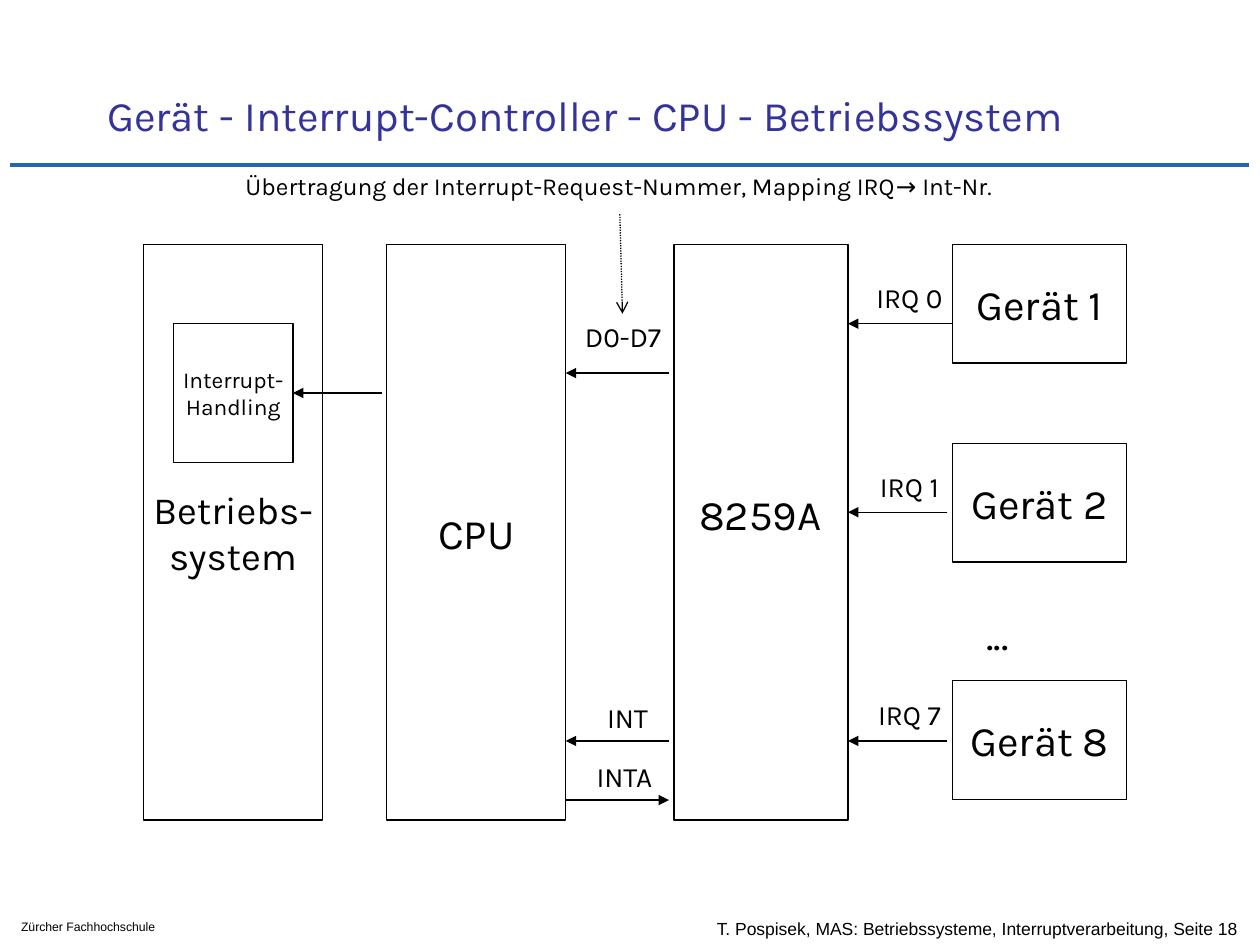
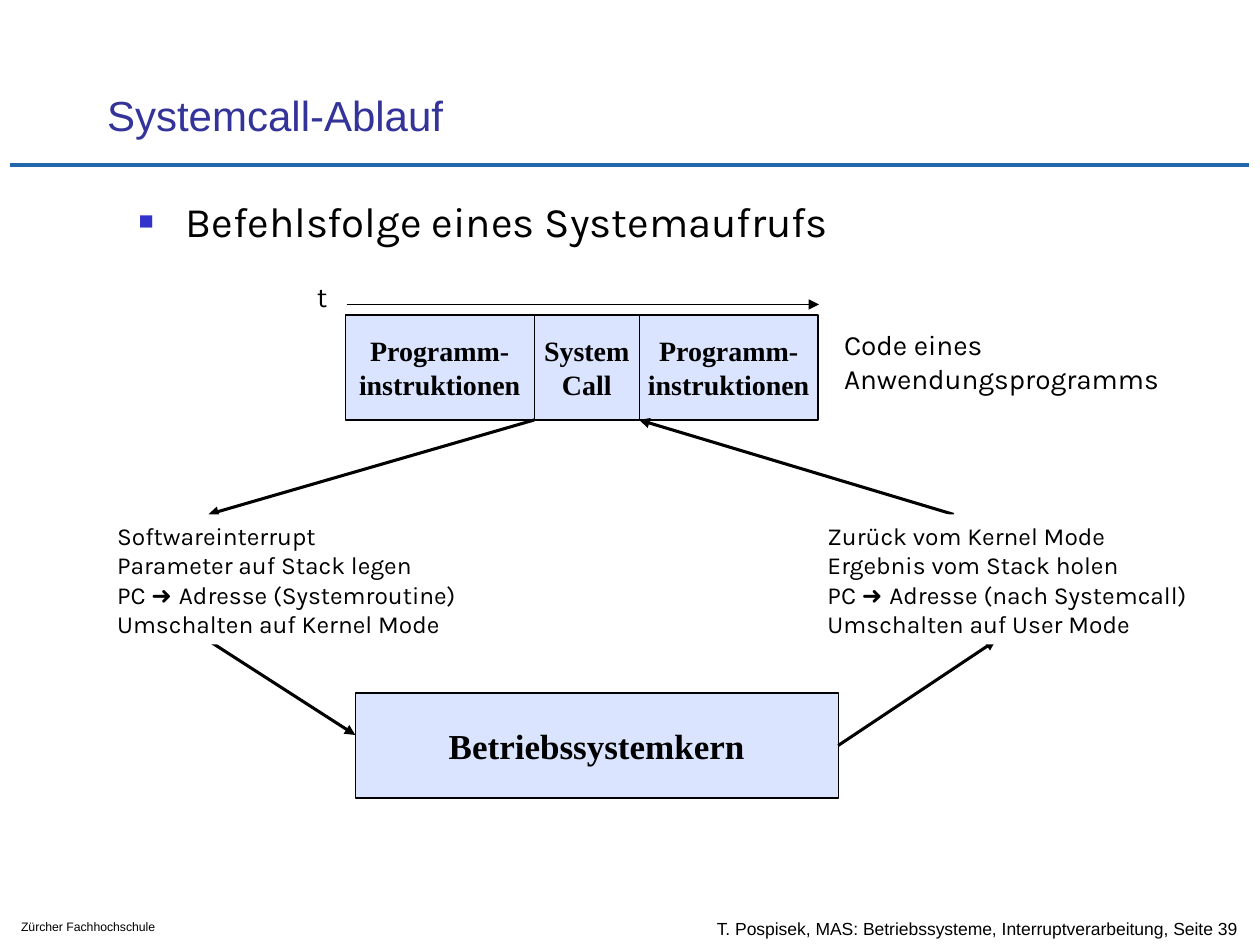
from lxml import etree
from pptx import Presentation
from pptx.dml.color import RGBColor as RGB
from pptx.enum.dml import MSO_LINE as DASH
from pptx.enum.shapes import MSO_CONNECTOR as CONN, MSO_SHAPE as SHAPE
from pptx.enum.text import MSO_ANCHOR as ANCHOR, MSO_AUTO_SIZE as AUTO, PP_ALIGN as ALIGN
from pptx.oxml.ns import qn
from pptx.util import Pt

# Theme: colours, and type styles as (size, font, colour, bold)
COLORS = {"black": "000000", "white": "FFFFFF", "title": "333399", "rule": "2266AB",
          "bullet": "3333CC", "block": "DAE4FF"}
STYLES = {
    "title": (24, "Karla", "title", False),
    "title_arial": (24, "Arial", "title", False),
    "body": (24, "Karla", "black", False),
    "system": (22, "Karla", "black", False),
    "label": (16, "Karla", "black", False),
    "note": (14, "Karla", "black", False),
    "small": (13, "Karla", "black", False),
    "block": (16, "Times New Roman", "black", True),
    "kernel": (20, "Times New Roman", "black", True),
    "page": (10, "Arial", "black", False),
    "school": (7, "Arial", "black", False),
}
THEME = {"colors": {k: RGB.from_string(v) for k, v in COLORS.items()}, "styles": STYLES}
C = THEME["colors"]


def put(sp, at, paras, style, align=ALIGN.CENTER, anchor=ANCHOR.MIDDLE, wrap=False,
        fill=None, line=None):
    """Place a shape and write its paragraphs; a paragraph may list (text, font) runs."""
    for name, value in zip(("left", "top", "width", "height"), at):
        setattr(sp, name, Pt(value))
    if fill:
        sp.fill.solid()
        sp.fill.fore_color.rgb = C[fill]
    if line:
        sp.shadow.inherit = False
        sp.line.color.rgb = C[line]
        sp.line.width = Pt(0.75)
    tf = sp.text_frame
    frame = {"word_wrap": wrap, "auto_size": AUTO.NONE, "vertical_anchor": anchor,
             "margin_left": Pt(7.2), "margin_right": Pt(7.2),
             "margin_top": Pt(3.6), "margin_bottom": Pt(3.6)}
    for name, value in frame.items():
        setattr(tf, name, value)
    size, font, color, bold = THEME["styles"][style]
    for i, para in enumerate(paras):
        p = tf.paragraphs[0] if i == 0 else tf.add_paragraph()
        p.alignment, p.space_before = align, Pt(0)
        for text, face in [(para, font)] if isinstance(para, str) else para:
            r = p.add_run()
            r.text = text
            for name, value in {"size": Pt(size), "name": face, "bold": bold}.items():
                setattr(r.font, name, value)
            r.font.color.rgb = C[color]
    return sp


def connect(s, x1, y1, x2, y2, width=0.75, color="black", head="triangle", dash=None):
    """Draw a line, with an arrowhead at its end unless head is None."""
    cx = s.shapes.add_connector(CONN.STRAIGHT, Pt(x1), Pt(y1), Pt(x2), Pt(y2))
    cx.line.color.rgb = C[color]
    cx.line.width = Pt(width)
    if dash:
        cx.line.dash_style = dash
    if head:
        etree.SubElement(cx.line._ln, qn("a:tailEnd"), type=head)
    etree.SubElement(cx._element.spPr, qn("a:effectLst"))


prs = Presentation()
prs.slide_width, prs.slide_height = Pt(720), Pt(540)

# Shared parts: rule, footers, title
slides = []
for layout, title, style, page in (
        (5, "Gerät - Interrupt-Controller - CPU - Betriebssystem", "title", 18),
        (1, "Systemcall-Ablauf", "title_arial", 39)):
    s = prs.slides.add_slide(prs.slide_layouts[layout])
    connect(s, 6, 94.3, 714, 94.3, 2.5, "rule", None)
    put(s.shapes.add_textbox(0, 0, 0, 0), (402.5, 518.4, 317.5, 24),
        [f"T. Pospisek, MAS: Betriebssysteme, Interruptverarbeitung, Seite {page}"],
        "page", ALIGN.LEFT, wrap=True)
    put(s.shapes.add_textbox(0, 0, 0, 0), (5, 522, 124, 16), ["Zürcher Fachhochschule"],
        "school", ALIGN.LEFT, ANCHOR.TOP, True)
    put(s.shapes.title, (54, 24, 613.5, 59.5), [title], style, ALIGN.LEFT,
        ANCHOR.BOTTOM, True)
    slides.append(s)
s1, s2 = slides

# Slide 1: operating system, CPU and interrupt controller
TOP, TALL = 139.7, 329
units = [((82, TOP, 102.3, TALL), ["Betriebs-", "system"], "system"),
         ((221, TOP, 102.3, TALL), ["CPU"], "body"),
         ((385.2, TOP, 99.4, TALL), [], "body"),
         ((99, 185, 68.4, 79.2), ["Interrupt-", "Handling"], "small")]
# Devices
units += [((544.3, y, 99.4, 67.8), [f"Gerät {n}"], "body")
          for n, y in ((1, TOP), (2, 253.4), (8, 389))]
for at, paras, style in units:
    put(s1.shapes.add_shape(SHAPE.RECTANGLE, 0, 0, 0, 0), at, paras, style,
        fill="white", line="black")

# Request lines, data bus and handshake
labels = [((392.4, 275.8, 84.2, 36), ["8259A"], "body"),
          ((553, 344.2, 33.8, 36), ["..."], "body")]
for n, y, x in ((0, 185, 544.3), (1, 292.7, 541.4), (7, 423.4, 541.4)):
    connect(s1, x, y, 484.6, y)
    labels.append(((492, y - 28.2, 55.4, 26.6), [f"IRQ {n}"], "label"))
for name, x, y, gap, ends in (("D0-D7", 356, 213.2, 34, (382.3, 323.3)),
                              ("INT", 358.6, 423.4, 26.6, (382.3, 323.3)),
                              ("INTA", 356.8, 457.2, 26.6, (323.3, 382.3))):
    connect(s1, ends[0], y, ends[1], y)
    labels.append(((x - 30, y - gap, 60, 26.6), [name], "label"))
connect(s1, 218.2, 224.6, 167.4, 224.6)

# Mapping remark
labels.append(((123, 94.3, 461, 24),
               [[("Übertragung der Interrupt-Request-Nummer, Mapping IRQ", "Karla"),
                 ("→", "DejaVu Sans"), (" Int-Nr.", "Karla")]], "note"))
connect(s1, 354.2, 122.4, 355.7, 179.3, head="arrow", dash=DASH.ROUND_DOT)
for at, paras, style in labels:
    put(s1.shapes.add_textbox(0, 0, 0, 0), at, paras, style, anchor=ANCHOR.TOP)

# Slide 2: bullet
body = s2.placeholders[1]
put(body, (72, 108, 612, 54), ["Befehlsfolge eines Systemaufrufs"], "body",
    ALIGN.LEFT, ANCHOR.TOP, True)
pPr = body.text_frame.paragraphs[0]._p.get_or_add_pPr()
pPr.set("marL", str(Pt(27)))
pPr.set("indent", str(Pt(-27)))
bu_color = etree.SubElement(pPr, qn("a:buClr"))
etree.SubElement(bu_color, qn("a:srgbClr"), val=COLORS["bullet"])
etree.SubElement(pPr, qn("a:buSzPct"), val="60000")
etree.SubElement(pPr, qn("a:buFont"), typeface="Arial")
etree.SubElement(pPr, qn("a:buChar"), char="■")

# Program blocks in a row, and the kernel
program = ["Programm-", "instruktionen"]
blocks = [((203, 396, 276, 60), ["Betriebssystemkern"], "kernel")]
x = 197.3
for width, paras in ((108, program), (60, ["System", "Call"]), (102.2, program)):
    blocks.append(((x, 180, width, 60), paras, "block"))
    x += width
for at, paras, style in blocks:
    put(s2.shapes.add_shape(SHAPE.RECTANGLE, 0, 0, 0, 0), at, paras, style,
        fill="block", line="black")

# Time axis and control flow
connect(s2, 198, 174, 468, 174)
for ends in ((305.3, 240, 119, 294), (119, 366, 203, 420),
             (479, 426, 569, 366), (545, 294, 365.3, 240)):
    connect(s2, *ends, width=1.75)

# Notes
notes = [((174, 156, 20, 26.6), ["t"], "label"),
         ((475.2, 183.6, 201, 45.4), ["Code eines", "Anwendungsprogramms"], "label")]
for x, width, first, second, target, mode in (
        (59.8, 211, "Softwareinterrupt", "Parameter auf Stack legen", "Systemroutine", "Kernel"),
        (465.8, 220.3, "Zurück vom Kernel Mode", "Ergebnis vom Stack holen",
         "nach Systemcall", "User")):
    jump = [("PC ", "Karla"), ("➜ ", "Arial"), (f"Adresse ({target})", "Karla")]
    notes.append(((x, 294, width, 74.2),
                  [first, second, jump, f"Umschalten auf {mode} Mode"], "note"))
for at, paras, style in notes:
    put(s2.shapes.add_textbox(0, 0, 0, 0), at, paras, style, ALIGN.LEFT, ANCHOR.TOP,
        fill="white")

prs.save("out.pptx")
